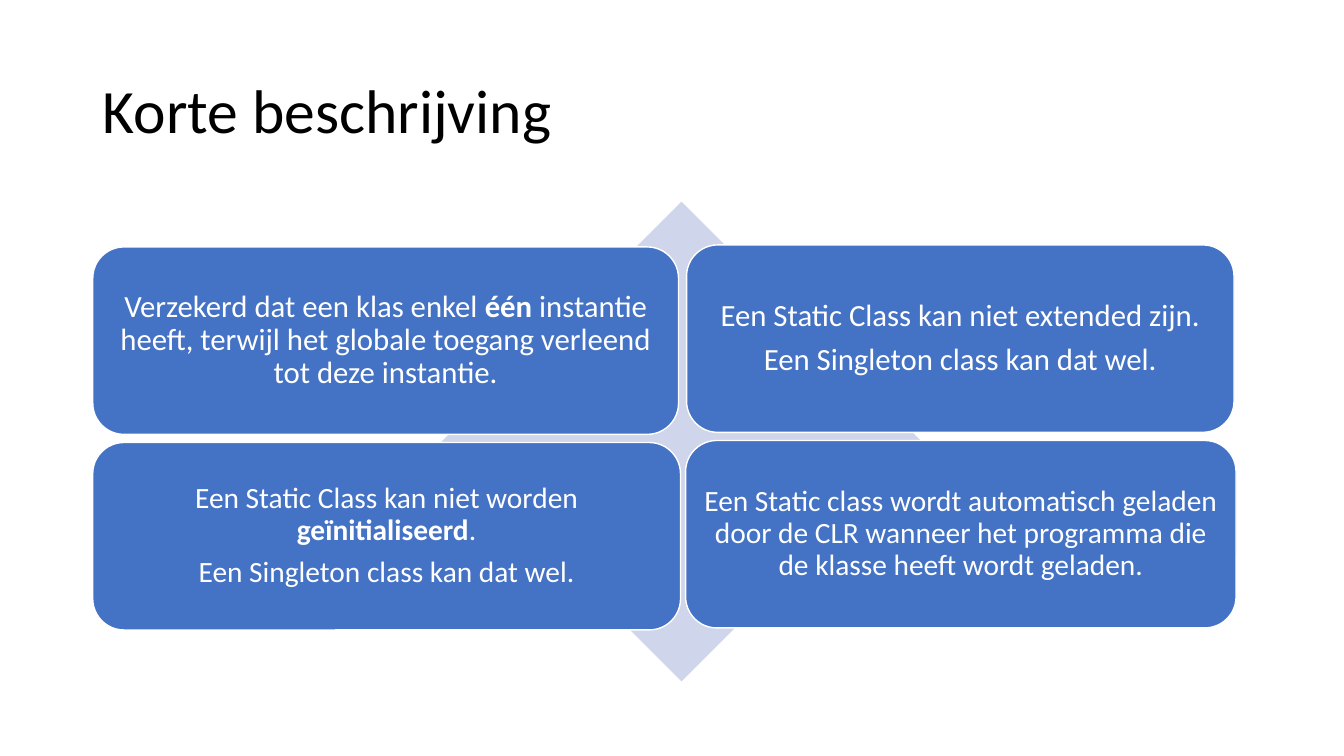
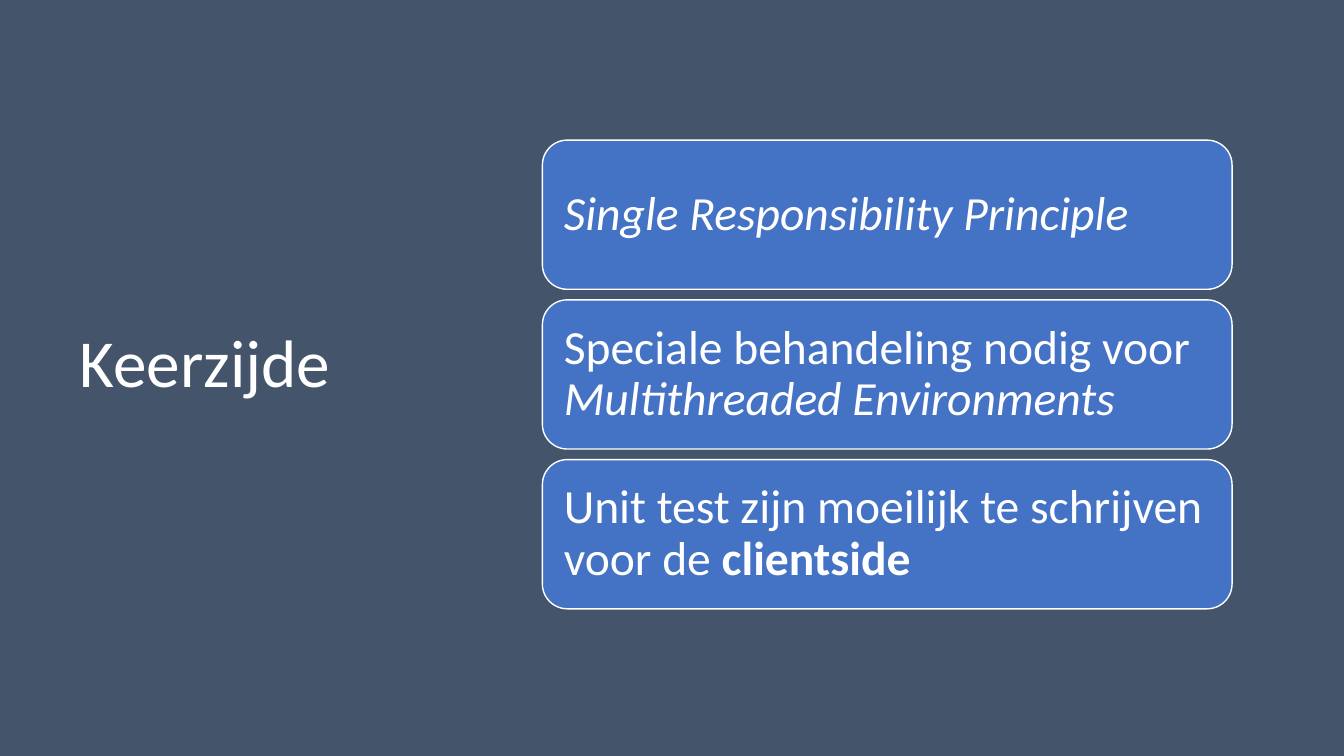
from pptx import Presentation
from pptx.dml.color import RGBColor
from pptx.enum.shapes import MSO_SHAPE
from pptx.enum.text import MSO_ANCHOR, PP_ALIGN
from pptx.util import Inches, Pt

DIAMOND, ROUND = MSO_SHAPE.DIAMOND, MSO_SHAPE.ROUNDED_RECTANGLE
LEFT, CENTER = PP_ALIGN.LEFT, PP_ALIGN.CENTER
MIDDLE = MSO_ANCHOR.MIDDLE
FONT = "Calibri"
HUES = {"white": "FFFFFF", "black": "000000", "blue": "4472C4",
        "pale": "CFD5EA", "slate": "44546A"}
COLORS = {name: RGBColor.from_string(code) for name, code in HUES.items()}

deck = Presentation()
deck.slide_width, deck.slide_height = Inches(13.33), Inches(7.5)


def add_page(text, box, size, ink, back):
    page = deck.slides.add_slide(deck.slide_layouts[5])
    page.background.fill.solid()
    page.background.fill.fore_color.rgb = COLORS[back]
    title = page.shapes.title
    title.left, title.top, title.width, title.height = map(Inches, box)
    frame = title.text_frame
    frame.text = text
    frame.word_wrap = True
    frame.vertical_anchor = MIDDLE
    para = frame.paragraphs[0]
    para.alignment, para.line_spacing = LEFT, 0.9
    font = para.font
    font.name, font.size, font.color.rgb = FONT, Pt(size), COLORS[ink]
    return page


def add_card(page, box, paras, size, align, inset):
    card = page.shapes.add_shape(ROUND, *map(Inches, box))
    card.shadow.inherit = False
    card.fill.solid()
    card.fill.fore_color.rgb = COLORS["blue"]
    card.line.color.rgb = COLORS["white"]
    card.line.width = Pt(1)
    frame = card.text_frame
    frame.word_wrap = True
    frame.vertical_anchor = MIDDLE
    frame.margin_left = frame.margin_right = Inches(inset)
    frame.margin_top = frame.margin_bottom = Inches(inset)
    for index, runs in enumerate(paras):
        para = frame.add_paragraph() if index else frame.paragraphs[0]
        para.alignment, para.line_spacing = align, 0.9
        para.space_before = Pt(0.35 * size if index else 0)
        font = para.font
        font.name, font.size, font.color.rgb = FONT, Pt(size), COLORS["white"]
        for text, style in runs:
            run = para.add_run()
            run.text = text
            if style == "bold":
                run.font.bold = True
            elif style == "italic":
                run.font.italic = True


page = add_page("Korte beschrijving", (0.92, 0.4, 11.5, 1.45), 44, "black", "white")
gem = page.shapes.add_shape(DIAMOND, *map(Inches, (4.38, 2, 4.76, 4.76)))
gem.shadow.inherit = False
gem.fill.solid()
gem.fill.fore_color.rgb = COLORS["pale"]
gem.line.fill.background()

also = [("Een Singleton class kan dat wel.", "")]
cards = [
    (0.92, 2.45, 5.81, 22, [
        [("Verzekerd dat een klas enkel ", ""), ("één", "bold"),
         (" instantie heeft, terwijl het globale toegang verleend tot deze instantie.", "")]]),
    (6.81, 2.43, 5.43, 22, [
        [("Een Static Class kan niet extended zijn.", "")], also]),
    (0.92, 4.39, 5.83, 21, [
        [("Een Static Class kan niet worden ", ""), ("geïnitialiseerd", "bold"), (".", "")], also]),
    (6.8, 4.37, 5.46, 21, [
        [("Een Static class wordt automatisch geladen door de CLR wanneer "
          "het programma die de klasse heeft wordt geladen.", "")]]),
]
for left, top, width, size, paras in cards:
    add_card(page, (left, top, width, 1.86), paras, size, CENTER, 0.09)

page = add_page("Keerzijde", (0.69, 0.54, 4.59, 6.17), 48, "white", "slate")
points = [
    [("Single Responsibility Principle", "italic")],
    [("Speciale behandeling nodig voor ", ""), ("Multithreaded Environments", "italic")],
    [("Unit test zijn moeilijk te schrijven voor de ", ""), ("clientside", "bold")],
]
high, gap = 1.48, 0.105
for row, runs in enumerate(points):
    top = 1.39 + row * (high + gap)
    add_card(page, (5.38, top, 6.84, high), [runs], 34, LEFT, 0.14)

deck.save("out.pptx")
